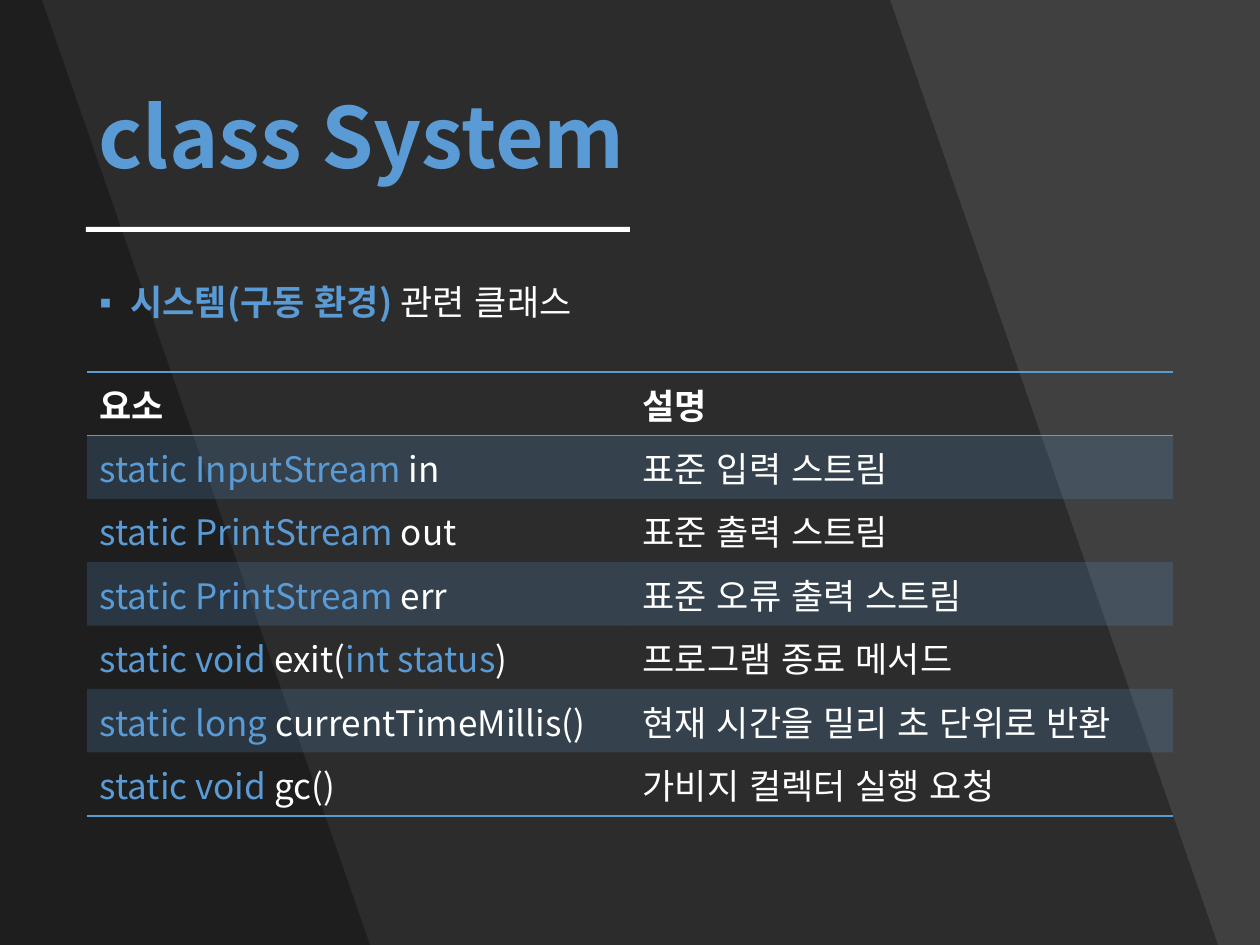
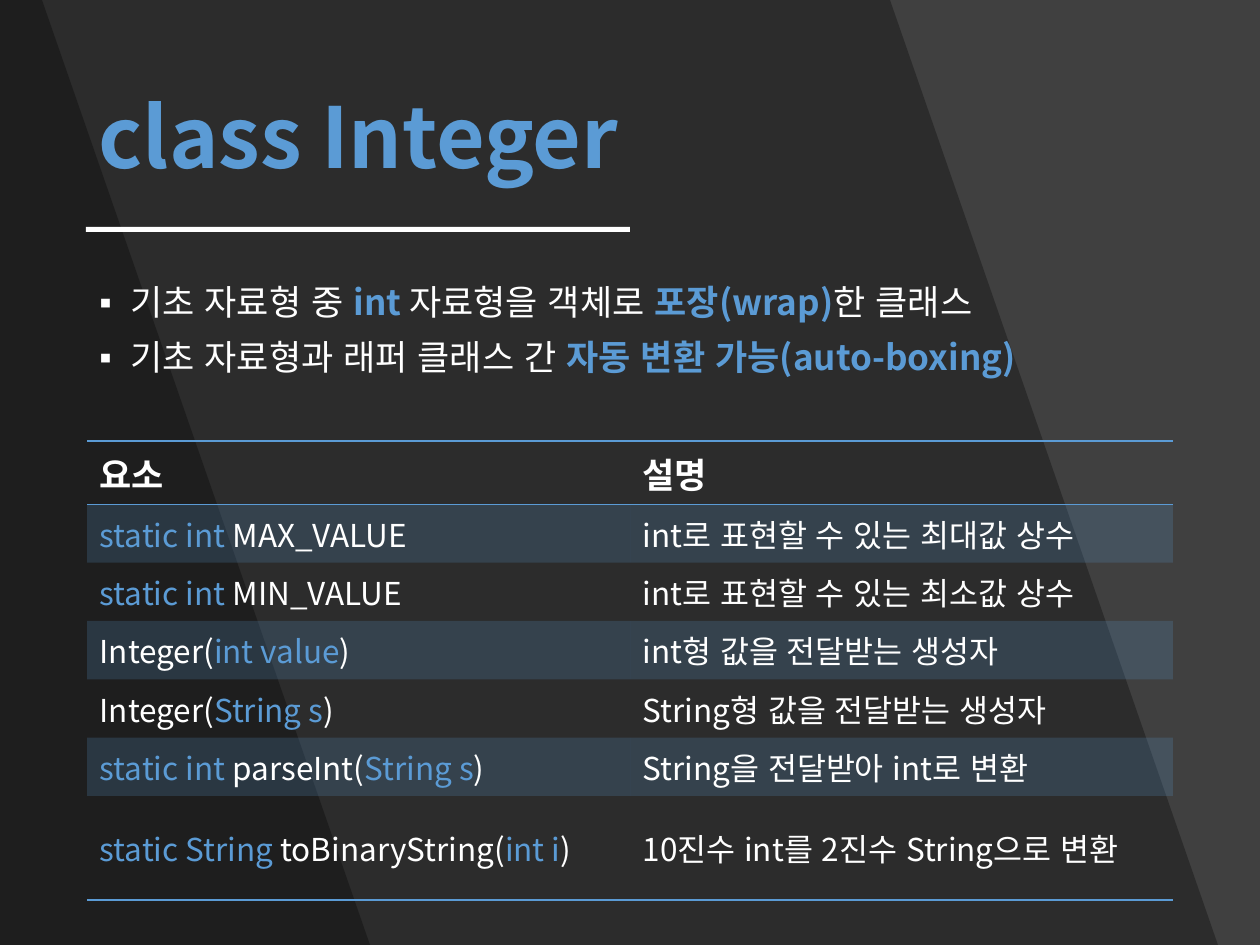
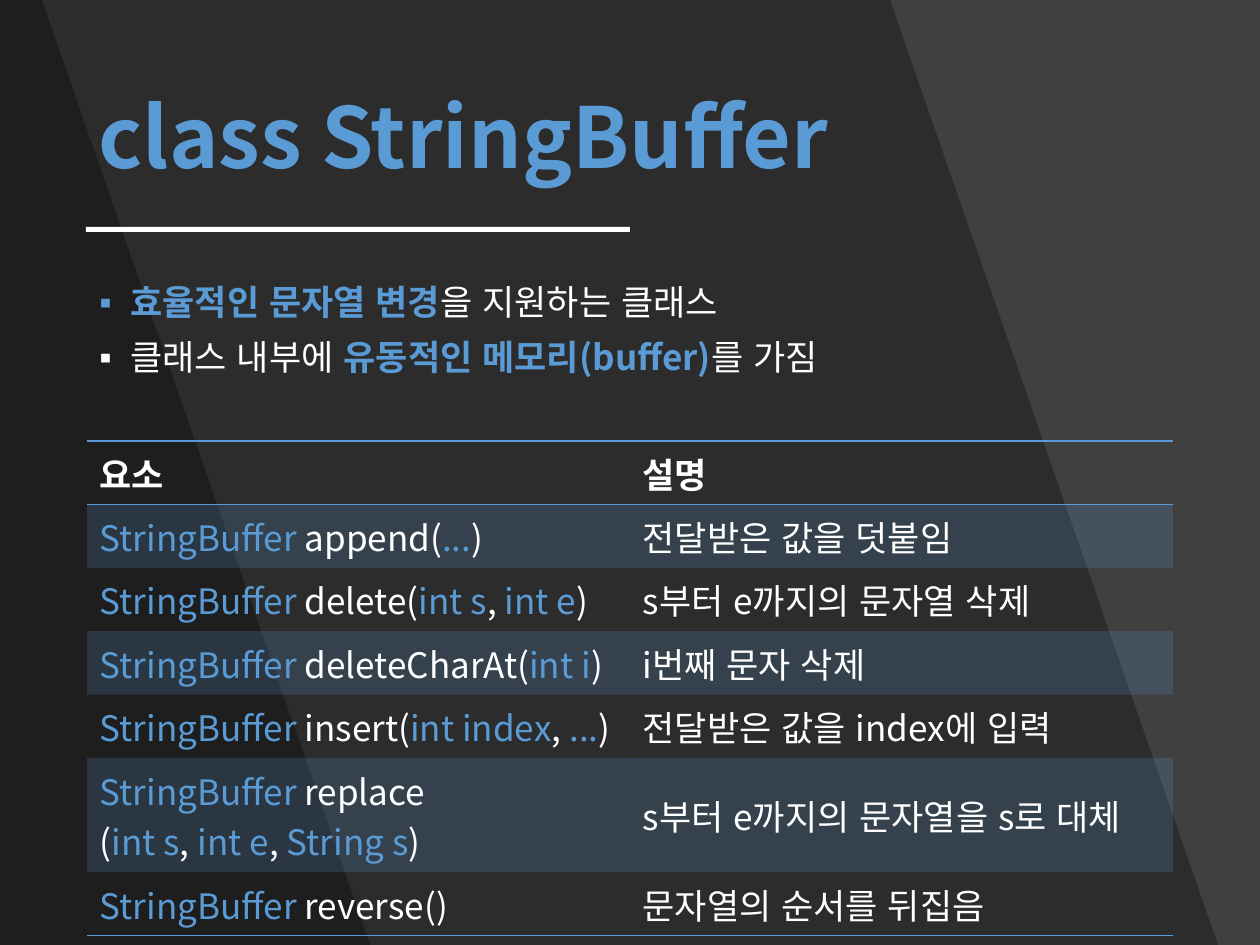
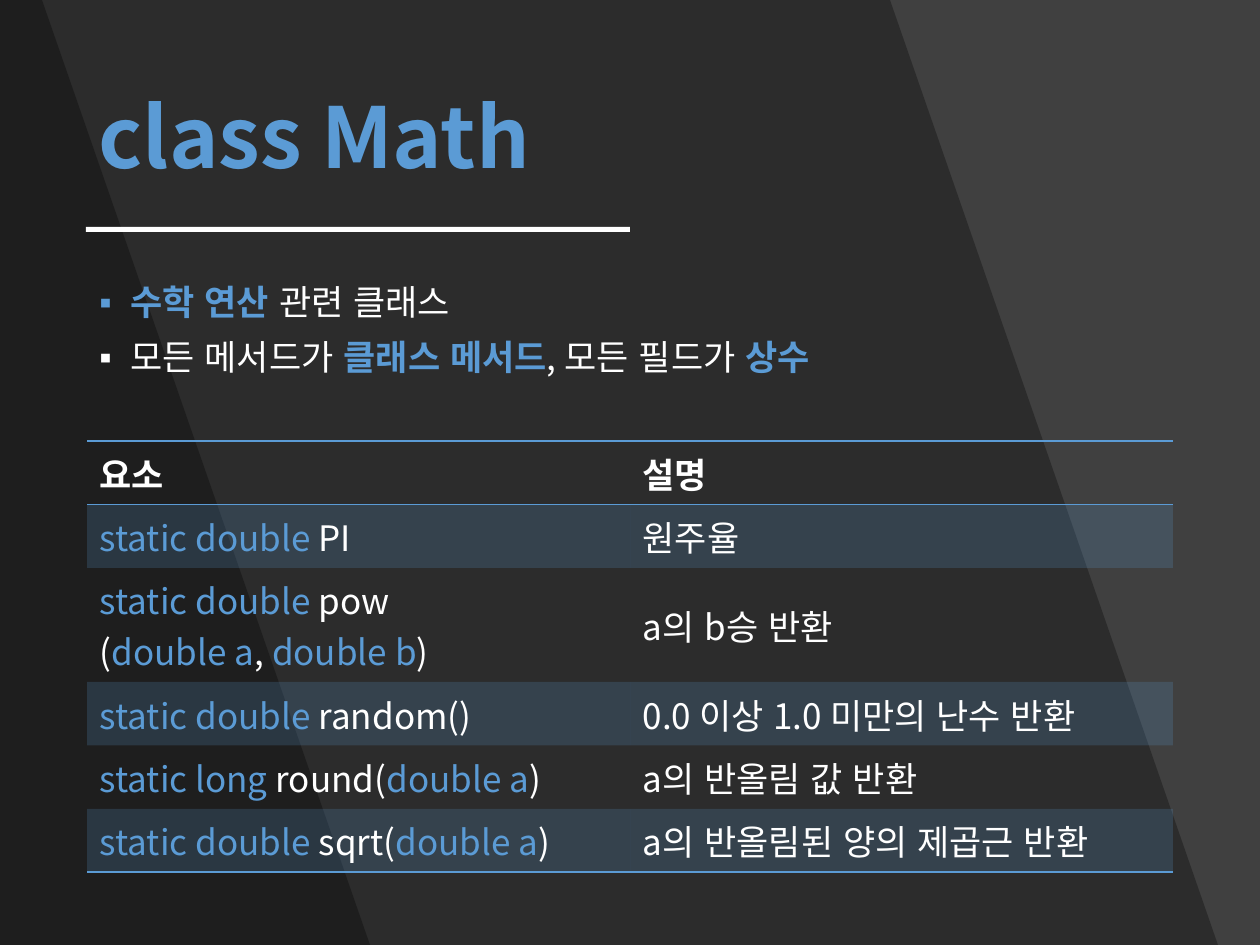
from dataclasses import dataclass
from math import ceil

from lxml import etree
from pptx import Presentation
from pptx.dml.color import RGBColor
from pptx.enum.lang import MSO_LANGUAGE_ID
from pptx.enum.shapes import MSO_SHAPE
from pptx.enum.text import MSO_ANCHOR, MSO_AUTO_SIZE, PP_ALIGN
from pptx.oxml.ns import qn
from pptx.util import Pt

KOREAN = MSO_LANGUAGE_ID.KOREAN
RECTANGLE = MSO_SHAPE.RECTANGLE
MIDDLE = MSO_ANCHOR.MIDDLE
TOP = MSO_ANCHOR.TOP
LEFT = PP_ALIGN.LEFT
NO_AUTOFIT = MSO_AUTO_SIZE.NONE

# Text between asterisks takes the accent colour; "\n" starts a paragraph.
HEADER = ("요소", "설명")
SLIDES = [
    {
        "title": "class System",
        "bullets": ["*시스템(구동 환경) *관련 클래스"],
        "table_top": 372,
        "cell_size": 20,
        "rows": [
            ("*static InputStream* in", "표준 입력 스트림"),
            ("*static PrintStream* out", "표준 출력 스트림"),
            ("*static PrintStream* err", "표준 오류 출력 스트림"),
            ("*static void* exit(*int status*)", "프로그램 종료 메서드"),
            ("*static long *currentTimeMillis()", "현재 시간을 밀리 초 단위로 반환"),
            ("*static void *gc()", "가비지 컬렉터 실행 요청"),
        ],
    },
    {
        "title": "class Integer",
        "bullets": [
            "기초 자료형 중 *int* 자료형을 객체로 *포장(wrap)*한 클래스",
            "기초 자료형과 래퍼 클래스 간 *자동 변환 가능(auto-boxing)*",
        ],
        "table_top": 441,
        "cell_size": 18,
        "rows": [
            ("*static int *MAX_VALUE", "int로 표현할 수 있는 최대값 상수"),
            ("*static int *MIN_VALUE", "int로 표현할 수 있는 최소값 상수"),
            ("Integer(*int value*)", "int형 값을 전달받는 생성자"),
            ("Integer(*String s*)", "String형 값을 전달받는 생성자"),
            ("*static int *parseInt(*String s*)", "String을 전달받아 int로 변환"),
            ("*static String *toBinaryString(*int i*)", "10진수 int를 2진수 String으로 변환"),
        ],
    },
    {
        "title": "class StringBuffer",
        "bullets": [
            "*효율적인 문자열 변경*을 지원하는 클래스",
            "클래스 내부에 *유동적인 메모리(buffer)*를 가짐",
        ],
        "table_top": 441,
        "cell_size": 20,
        "rows": [
            ("*StringBuffer* append(*...*)", "전달받은 값을 덧붙임"),
            ("*StringBuffer* delete(*int s*, *int e*)", "s부터 e까지의 문자열 삭제"),
            ("*StringBuffer *deleteCharAt(*int i*)", "i번째 문자 삭제"),
            ("*StringBuffer* insert(*int index*, *...*)", "전달받은 값을 index에 입력"),
            ("*StringBuffer *replace\n(*int s*, *int e*, *String s*)", "s부터 e까지의 문자열을 s로 대체"),
            ("*StringBuffer *reverse()", "문자열의 순서를 뒤집음"),
        ],
    },
    {
        "title": "class Math",
        "bullets": [
            "*수학 연산* 관련 클래스",
            "모든 메서드가 *클래스 메서드*, 모든 필드가 *상수*",
        ],
        "table_top": 441,
        "cell_size": 20,
        "rows": [
            ("*static double* PI", "원주율"),
            ("*static double* pow\n(*double a*, *double b*)", "a의 b승 반환"),
            ("*static double* random()", "0.0 이상 1.0 미만의 난수 반환"),
            ("*static long* round(*double a*)", "a의 반올림 값 반환"),
            ("*static double *sqrt(*double a*)", "a의 반올림된 양의 제곱근 반환"),
        ],
    },
]

# Lengths in px
EMU_PER_PX = 914400 / 126
SLIDE_WIDTH, SLIDE_HEIGHT = 1260, 945
TITLE_BOX = (86, 50, 1087, 183)
RULE_BOX = (86, 227, 544, 5)
BULLET_BOX = (87, 279, 1086, 572)
BULLET_INDENT = 31
TABLE_LEFT, COLUMN_WIDTH = 87, 543
LINE_PX_PER_POINT = 2.54  # line height of the font for each point of size
CELL_PADDING = 12.6  # top and bottom cell margins together
DESCRIPTION_CAPACITY = 22  # characters that fit on one line
BAND_EDGES = [(890, 1218), (42, 370)]  # right edge at the top and at the bottom
NO_STYLE_TABLE = "{2D5ABB26-0587-4C30-8999-92F81FD0307C}"


@dataclass(frozen=True)
class Theme:
    font: str = "Noto Sans CJK KR"
    bullet_font: str = "Arial"
    background: RGBColor = RGBColor(0x40, 0x40, 0x40)
    band: RGBColor = RGBColor(0, 0, 0)
    accent: RGBColor = RGBColor(0x5B, 0x9B, 0xD5)
    text: RGBColor = RGBColor(0xFF, 0xFF, 0xFF)
    band_opacity: int = 30
    row_opacity: int = 20
    title_size: int = 48
    body_size: int = 20
    border_width: int = 1


THEME = Theme()


def px(length):
    return round(length * EMU_PER_PX)


def px_box(box):
    return [px(length) for length in box]


def fill_solid(fill, properties, color, opacity=100):
    fill.solid()
    fill.fore_color.rgb = color
    if opacity < 100:
        color_element = properties.find(qn("a:solidFill")).find(qn("a:srgbClr"))
        etree.SubElement(color_element, qn("a:alpha"), val=str(opacity * 1000))


def write_text(frame, text, size=THEME.body_size, bold=False, accent_bold=False,
               anchor=None, line_spacing=None, space_before=None, bullet=None):
    """Fill a text frame, giving the parts between asterisks the accent colour."""
    if anchor is not None:
        frame.vertical_anchor = anchor
    for number, line in enumerate(text.split("\n")):
        paragraph = frame.add_paragraph() if number else frame.paragraphs[0]
        paragraph.alignment = LEFT
        if line_spacing:
            paragraph.line_spacing = line_spacing
        if space_before is not None:
            paragraph.space_before = Pt(space_before)
        if bullet:
            properties = paragraph._p.get_or_add_pPr()
            properties.set("marL", str(px(BULLET_INDENT)))
            properties.set("indent", str(-px(BULLET_INDENT)))
            etree.SubElement(properties, qn("a:buFont"), typeface=THEME.bullet_font)
            etree.SubElement(properties, qn("a:buChar"), char=bullet)
        for part_number, part in enumerate(line.split("*")):
            if not part:
                continue
            is_accent = part_number % 2 == 1
            run = paragraph.add_run()
            run.text = part
            font = run.font
            font.size = Pt(size)
            font.bold = bold or (accent_bold and is_accent)
            font.color.rgb = THEME.accent if is_accent else THEME.text
            font.name = THEME.font
            font.language_id = KOREAN
            etree.SubElement(run._r.get_or_add_rPr(), qn("a:ea"), typeface=THEME.font)


def add_bands(slide):
    for top_edge, bottom_edge in BAND_EDGES:
        builder = slide.shapes.build_freeform(0, 0, scale=EMU_PER_PX)
        builder.add_line_segments(
            [(top_edge, 0), (bottom_edge, SLIDE_HEIGHT), (0, SLIDE_HEIGHT)], close=True)
        band = builder.convert_to_shape()
        band.shadow.inherit = False
        band.line.fill.background()
        fill_solid(band.fill, band.element.spPr, THEME.band, THEME.band_opacity)


def format_title(slide, text):
    title = slide.shapes.title
    slide.shapes.element.append(title.element)  # bring in front of the bands
    title.left, title.top, title.width, title.height = px_box(TITLE_BOX)
    title.text_frame.word_wrap = True
    title.text_frame.auto_size = NO_AUTOFIT
    write_text(title.text_frame, f"*{text}*", size=THEME.title_size, bold=True,
               anchor=MIDDLE, line_spacing=0.9, space_before=0)


def add_bullets(slide, bullets):
    frame = slide.shapes.add_textbox(*px_box(BULLET_BOX)).text_frame
    frame.word_wrap = True
    write_text(frame, "\n".join(bullets), accent_bold=True, anchor=TOP,
               line_spacing=0.9, space_before=10, bullet="▪")


def add_rule(slide):
    rule = slide.shapes.add_shape(RECTANGLE, *px_box(RULE_BOX))
    rule.shadow.inherit = False
    rule.line.fill.background()
    fill_solid(rule.fill, rule.element.spPr, THEME.text)


def add_border(cell_properties, tag):
    border = etree.Element(qn(tag), w=str(Pt(THEME.border_width)))
    fill = etree.SubElement(border, qn("a:solidFill"))
    etree.SubElement(fill, qn("a:srgbClr"), val=str(THEME.accent))
    cell_properties.insert(0, border)


def row_height(row, size):
    """Height in px of the taller cell of a row."""
    element, description = row
    lines = max(element.count("\n") + 1, ceil(len(description) / DESCRIPTION_CAPACITY))
    return lines * size * LINE_PX_PER_POINT + CELL_PADDING


def add_member_table(slide, top, members, cell_size):
    rows = [HEADER] + members
    sizes = [THEME.body_size] + [cell_size] * len(members)
    heights = [row_height(row, size) for row, size in zip(rows, sizes)]
    box = (TABLE_LEFT, top, COLUMN_WIDTH * len(HEADER), sum(heights))
    table = slide.shapes.add_table(len(rows), len(HEADER), *px_box(box)).table
    table.horz_banding = False
    table._tbl.tblPr.find(qn("a:tableStyleId")).text = NO_STYLE_TABLE
    for row_number, row in enumerate(rows):
        is_header = row_number == 0
        table.rows[row_number].height = px(heights[row_number])
        for column_number, text in enumerate(row):
            cell = table.cell(row_number, column_number)
            cell.vertical_anchor = MIDDLE
            write_text(cell.text_frame, text, bold=is_header, size=sizes[row_number])
            properties = cell._tc.get_or_add_tcPr()
            if row_number % 2:
                fill_solid(cell.fill, properties, THEME.accent, THEME.row_opacity)
            else:
                cell.fill.background()
            if is_header or row_number == len(rows) - 1:
                add_border(properties, "a:lnB")
            if is_header:
                add_border(properties, "a:lnT")


def main():
    presentation = Presentation()
    presentation.slide_width = px(SLIDE_WIDTH)
    presentation.slide_height = px(SLIDE_HEIGHT)
    background = presentation.slide_master.background.fill
    background.solid()
    background.fore_color.rgb = THEME.background
    title_only = presentation.slide_layouts.get_by_name("Title Only")
    for content in SLIDES:
        slide = presentation.slides.add_slide(title_only)
        add_bands(slide)
        format_title(slide, content["title"])
        add_bullets(slide, content["bullets"])
        add_rule(slide)
        add_member_table(slide, content["table_top"], content["rows"], content["cell_size"])
    presentation.save("out.pptx")


if __name__ == "__main__":
    main()
